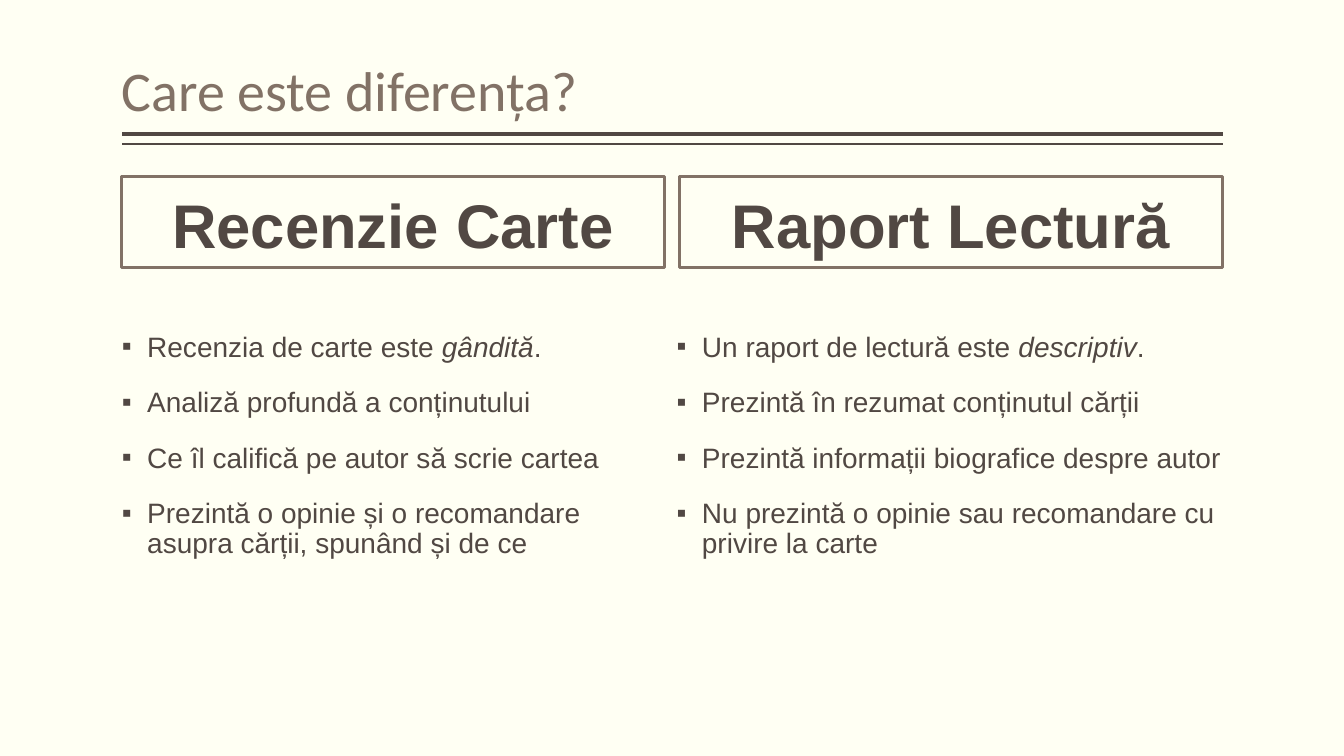
from dataclasses import dataclass

from lxml import etree
from pptx import Presentation
from pptx import util as u
from pptx.dml.color import RGBColor
from pptx.enum import shapes, text
from pptx.oxml.ns import qn


@dataclass(frozen=True)
class Theme:
    paper: RGBColor = RGBColor.from_string("FFFFF3")
    dark: RGBColor = RGBColor.from_string("514843")
    soft: RGBColor = RGBColor.from_string("827266")
    title: int = 40
    head: int = 44
    body: int = 20


theme = Theme()


def write(shape, paras, size, color, font="Arial", bold=False, align="LEFT",
          anchor="TOP", gap=0, bullet=None):
    """Fill a shape with paragraphs; each is a list of runs, every second one italic."""
    frame = shape.text_frame
    frame.word_wrap = True
    frame.auto_size = text.MSO_AUTO_SIZE.NONE
    frame.vertical_anchor = text.MSO_ANCHOR[anchor]
    frame.margin_left = frame.margin_right = 0
    frame.margin_top = frame.margin_bottom = u.Cm(0.13)
    for row, parts in enumerate(paras):
        para = frame.add_paragraph() if row else frame.paragraphs[0]
        para.alignment = text.PP_ALIGN[align]
        para.line_spacing = 0.9
        para.space_before = u.Pt(gap if row else 0)
        if bullet:
            props = para._p.get_or_add_pPr()
            props.set("marL", str(u.Cm(0.64)))
            props.set("indent", str(-u.Cm(0.64)))
            etree.SubElement(props, qn("a:buFont")).set("typeface", "Arial")
            etree.SubElement(props, qn("a:buChar")).set("char", bullet)
        for spot, part in enumerate(parts):
            run = para.add_run()
            run.text = part
            run.font.name = font
            run.font.size = u.Pt(size)
            run.font.bold = bold
            run.font.italic = spot % 2 == 1
            run.font.color.rgb = color


deck = Presentation()
deck.slide_width, deck.slide_height = u.Cm(33.87), u.Cm(19.05)
slide = deck.slides.add_slide(deck.slide_layouts[6])
slide.background.fill.solid()
slide.background.fill.fore_color.rgb = theme.paper

left, right = 3.07, 30.81

# Title with its double rule
for y, weight in [(3.38, 3), (3.63, 1)]:
    rule = slide.shapes.add_connector(
        shapes.MSO_CONNECTOR.STRAIGHT, u.Cm(right), u.Cm(y), u.Cm(left), u.Cm(y))
    rule.line.color.rgb = theme.dark
    rule.line.width = u.Pt(weight)
    etree.SubElement(rule._element.spPr, qn("a:effectLst"))

title = slide.shapes.add_textbox(u.Cm(left), u.Cm(0.2), u.Cm(right - left), u.Cm(3.05))
write(title, [["Care este diferența?"]], theme.title, theme.soft,
      font="Calibri", anchor="BOTTOM")

# Two columns: heading, heading left, list left, points
columns = [
    ("Recenzie Carte", left, left, [
        ["Recenzia de carte este ", "gândită", "."],
        ["Analiză profundă a conținutului"],
        ["Ce îl califică pe autor să scrie cartea"],
        ["Prezintă o opinie și o recomandare asupra cărții, spunând și de ce"],
    ]),
    ("Raport Lectură", 17.13, 17.05, [
        ["Un raport de lectură este ", "descriptiv", "."],
        ["Prezintă în rezumat conținutul cărții"],
        ["Prezintă informații biografice despre autor"],
        ["Nu prezintă o opinie sau recomandare cu privire la carte"],
    ]),
]
width = 13.68
for name, x, edge, points in columns:
    head = slide.shapes.add_shape(
        shapes.MSO_SHAPE.RECTANGLE, u.Cm(x), u.Cm(4.45), u.Cm(width), u.Cm(2.29))
    head.shadow.inherit = False
    head.fill.background()
    head.line.color.rgb = theme.soft
    head.line.width = u.Pt(2.25)
    write(head, [[name]], theme.head, theme.dark, bold=True,
          align="CENTER", anchor="BOTTOM")
    body = slide.shapes.add_textbox(
        u.Cm(edge), u.Cm(8.26), u.Cm(x + width - edge), u.Cm(8.89))
    write(body, points, theme.body, theme.dark, gap=18, bullet="▪")

deck.save("out.pptx")
